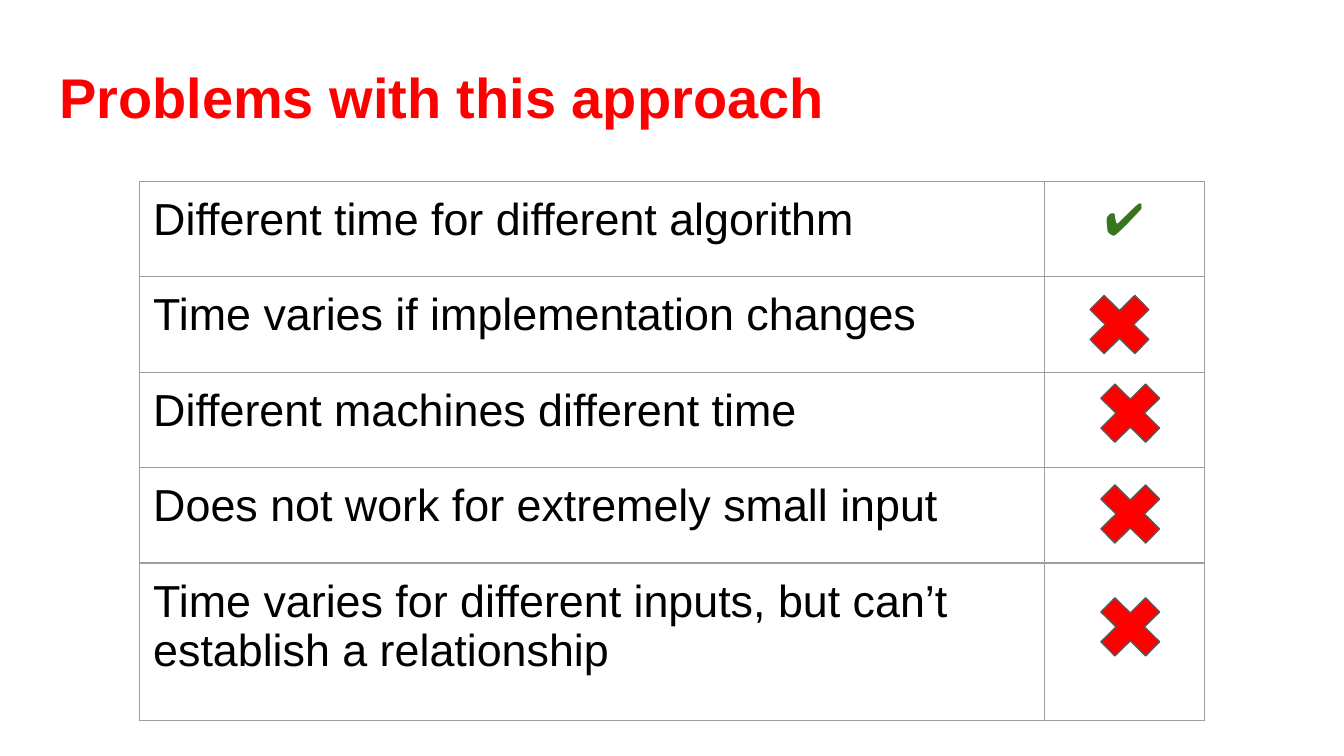
from lxml import etree
from pptx import Presentation
from pptx.dml.color import RGBColor
from pptx.enum.shapes import MSO_SHAPE
from pptx.enum.text import MSO_ANCHOR, MSO_AUTO_SIZE, PP_ALIGN
from pptx.oxml.ns import qn
from pptx.util import Inches, Pt

CROSS = MSO_SHAPE.MATH_MULTIPLY
TOP = MSO_ANCHOR.TOP
LEFT, CENTER = PP_ALIGN.LEFT, PP_ALIGN.CENTER

RED = RGBColor(0xFF, 0x00, 0x00)
GREEN = RGBColor(0x38, 0x76, 0x1D)
BLACK = RGBColor(0x00, 0x00, 0x00)
OUTLINE = RGBColor(0x59, 0x59, 0x59)
BORDER = RGBColor(0x9E, 0x9E, 0x9E)

FONT = "Arial"
TITLE_ONLY = 5
SLIDE_WIDTH = Inches(10)
SLIDE_HEIGHT = SLIDE_WIDTH * 9 // 16
MARGIN = Inches(0.1)
TABLE_LEFT, TABLE_TOP = 1.04, 1.35
COLUMNS = [6.73, 1.19]
ROWS = [0.71] * 4 + [1.17]
CROSS_WIDTH, CROSS_HEIGHT = 0.64, 0.63

PROBLEMS = [
    "Different time for different algorithm",
    "Time varies if implementation changes",
    "Different machines different time",
    "Does not work for extremely small input",
    "Time varies for different inputs, but can’t establish a relationship",
]
# Left and top of the cross in each row after the first
CROSSES = [(8.01, 2.1), (8.09, 2.76), (8.09, 3.51), (8.09, 4.35)]


def write_text(frame, text, size=24, color=BLACK, bold=False, align=LEFT,
               spacing=1.0, after=0):
    para = frame.paragraphs[0]
    para.alignment = align
    para.line_spacing = spacing
    para.space_before, para.space_after = Pt(0), Pt(after)
    span = para.add_run()
    span.text = text
    span.font.name = FONT
    span.font.size = Pt(size)
    span.font.bold = bold
    span.font.color.rgb = color


def set_margins(holder):
    holder.margin_left = holder.margin_right = MARGIN
    holder.margin_top = holder.margin_bottom = MARGIN
    holder.vertical_anchor = TOP


def add_title(page, text):
    title = page.shapes.title
    title.left, title.top = Inches(0.34), Inches(0.29)
    title.width, title.height = Inches(9.32), Inches(0.8)
    frame = title.text_frame
    frame.word_wrap = True
    frame.auto_size = MSO_AUTO_SIZE.NONE
    set_margins(frame)
    write_text(frame, text, size=30, color=RED, bold=True, spacing=1.15, after=12)


def set_borders(cell):
    properties = cell._tc.get_or_add_tcPr()
    for index, side in enumerate(("lnL", "lnR", "lnT", "lnB")):
        line = etree.Element(qn(f"a:{side}"), w=str(Pt(0.75)))
        fill = etree.SubElement(line, qn("a:solidFill"))
        etree.SubElement(fill, qn("a:srgbClr"), val=str(BORDER))
        properties.insert(index, line)


def add_problem_table(page):
    table = page.shapes.add_table(
        len(ROWS), len(COLUMNS), Inches(TABLE_LEFT), Inches(TABLE_TOP),
        Inches(sum(COLUMNS)), Inches(sum(ROWS))).table
    table.first_row = table.horz_banding = False
    for column, width in zip(table.columns, COLUMNS):
        column.width = Inches(width)
    for row, height in zip(table.rows, ROWS):
        row.height = Inches(height)
    for cell in table.iter_cells():
        set_margins(cell)
        cell.fill.background()
        set_borders(cell)
    for row, problem in enumerate(PROBLEMS):
        write_text(table.cell(row, 0).text_frame, problem)
    write_text(table.cell(0, 1).text_frame, "✔️", color=GREEN, bold=True,
               align=CENTER)


def add_cross(page, left, top):
    cross = page.shapes.add_shape(CROSS, Inches(left), Inches(top),
                                  Inches(CROSS_WIDTH), Inches(CROSS_HEIGHT))
    cross.shadow.inherit = False
    cross.adjustments[0] = 0.235
    cross.fill.solid()
    cross.fill.fore_color.rgb = RED
    cross.line.color.rgb = OUTLINE
    cross.line.width = Pt(0.75)


def main():
    deck = Presentation()
    deck.slide_width, deck.slide_height = SLIDE_WIDTH, SLIDE_HEIGHT
    page = deck.slides.add_slide(deck.slide_layouts[TITLE_ONLY])

    # Heading
    add_title(page, "Problems with this approach")

    # Problems with their verdicts
    add_problem_table(page)
    for left, top in CROSSES:
        add_cross(page, left, top)

    deck.save("out.pptx")


if __name__ == "__main__":
    main()
